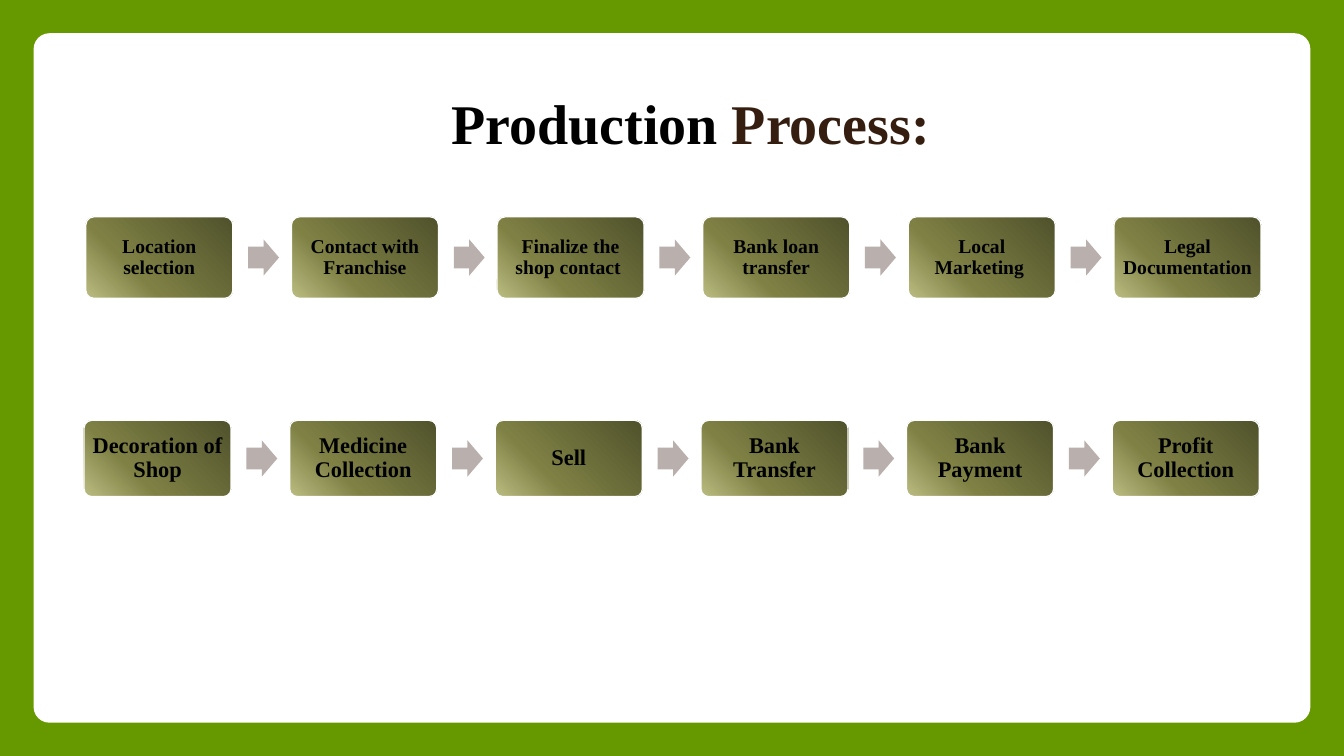
from lxml.etree import SubElement
from pptx import Presentation
from pptx.dml.color import RGBColor
from pptx.enum.shapes import MSO_SHAPE
from pptx.enum.text import MSO_ANCHOR, PP_ALIGN
from pptx.oxml.ns import qn
from pptx.util import Inches, Pt

COLORS = {
    "frame": "669900",
    "panel": "FFFFFF",
    "text": "000000",
    "title_end": "351D10",
    "arrow": "B9AFAC",
    "step_dark": "50522C",
    "step_mid": "7E8044",
    "step_light": "BABC81",
}
FONT = "Times New Roman"

# Percentages of the slide's width (across) and height (down)
PITCH = 15.3
STEP_WIDTH = 10.95
ARROW_OFFSET = 12.08
ARROW_WIDTH, ARROW_HEIGHT = 2.3, 4.8

FIRST_STEPS = ["Location selection", "Contact with Franchise", "Finalize the shop contact ",
               "Bank loan transfer", "Local Marketing ", "Legal Documentation"]
LATER_STEPS = ["Decoration of Shop", "Medicine Collection", "Sell",
               "Bank Transfer", "Bank Payment", "Profit Collection"]


def rgb(name):
    return RGBColor.from_string(COLORS[name])


class ProcessSlide:
    """Draws on one slide, with lengths as percentages of its size."""

    def __init__(self, deck):
        self.deck = deck
        self.slide = deck.slides.add_slide(deck.slide_layouts[6])
        background = self.slide.background.fill
        background.solid()
        background.fore_color.rgb = rgb("frame")

    def place(self, left, top, width, height):
        across, down = self.deck.slide_width / 100, self.deck.slide_height / 100
        return int(left * across), int(top * down), int(width * across), int(height * down)

    def shape(self, preset, area, adjustments, color=None):
        shape = self.slide.shapes.add_shape(preset, *self.place(*area))
        for index, value in enumerate(adjustments):
            shape.adjustments[index] = value
        shape.shadow.inherit = False
        shape.line.fill.background()
        if color:
            shape.fill.solid()
            shape.fill.fore_color.rgb = rgb(color)
        return shape

    def style(self, run, size, color="text"):
        run.font.name = FONT
        run.font.size = Pt(size)
        run.font.bold = True
        run.font.color.rgb = rgb(color)

    def title(self, start, end, area):
        frame = self.slide.shapes.add_textbox(*self.place(*area)).text_frame
        frame.word_wrap = False
        frame.text = start
        heading = frame.paragraphs[0]
        heading.alignment = PP_ALIGN.CENTER
        heading.add_run().text = end
        for run, color in zip(heading.runs, ("text", "title_end")):
            self.style(run, 40, color)

    def radial_fill(self, shape):
        """Fill with a circular gradient that spreads from the top right corner."""
        shape.fill.gradient()
        gradient = shape.fill._xPr.find(qn("a:gradFill"))
        for child in list(gradient):
            gradient.remove(child)
        stops = SubElement(gradient, qn("a:gsLst"))
        for percent, color in ((0, "step_dark"), (66, "step_mid"), (100, "step_light")):
            stop = SubElement(stops, qn("a:gs"), pos=str(percent * 1000))
            SubElement(stop, qn("a:srgbClr"), val=COLORS[color])
        circle = SubElement(gradient, qn("a:path"), path="circle")
        SubElement(circle, qn("a:fillToRect"), l="100000", b="100000")

    def step(self, label, area, size):
        box = self.shape(MSO_SHAPE.ROUNDED_RECTANGLE, area, [0.1])
        self.radial_fill(box)
        box.line.color.rgb = rgb("panel")
        box.line.width = Pt(1)
        frame = box.text_frame
        frame.word_wrap = True
        frame.vertical_anchor = MSO_ANCHOR.MIDDLE
        frame.margin_left = frame.margin_right = Inches(0.05)
        frame.margin_top = frame.margin_bottom = Inches(0.05)
        frame.text = label
        paragraph = frame.paragraphs[0]
        paragraph.alignment = PP_ALIGN.CENTER
        paragraph.line_spacing = 0.9
        self.style(paragraph.runs[0], size)

    def chain(self, labels, left, top, height, size):
        """Draw a row of steps with an arrow between neighbours."""
        arrow_top = top + (height - ARROW_HEIGHT) / 2
        for column, label in enumerate(labels):
            step_left = left + column * PITCH
            if column:
                arrow_left = step_left - PITCH + ARROW_OFFSET
                self.shape(MSO_SHAPE.RIGHT_ARROW,
                           (arrow_left, arrow_top, ARROW_WIDTH, ARROW_HEIGHT),
                           [0.6, 0.5], "arrow")
            self.step(label, (step_left, top, STEP_WIDTH, height), size)


def main():
    deck = Presentation()
    deck.slide_width, deck.slide_height = Inches(13.33), Inches(7.5)
    process = ProcessSlide(deck)
    process.shape(MSO_SHAPE.ROUNDED_RECTANGLE, (2.5, 4.4, 95, 91.2), [0.023], "panel")
    process.title("Production", " Process: ", (32.63, 11.07, 38.56, 10.27))
    process.chain(FIRST_STEPS, left=6.38, top=28.67, height=10.8, size=14)
    process.chain(LATER_STEPS, left=6.25, top=55.6, height=10.1, size=16)
    deck.save("out.pptx")


if __name__ == "__main__":
    main()
